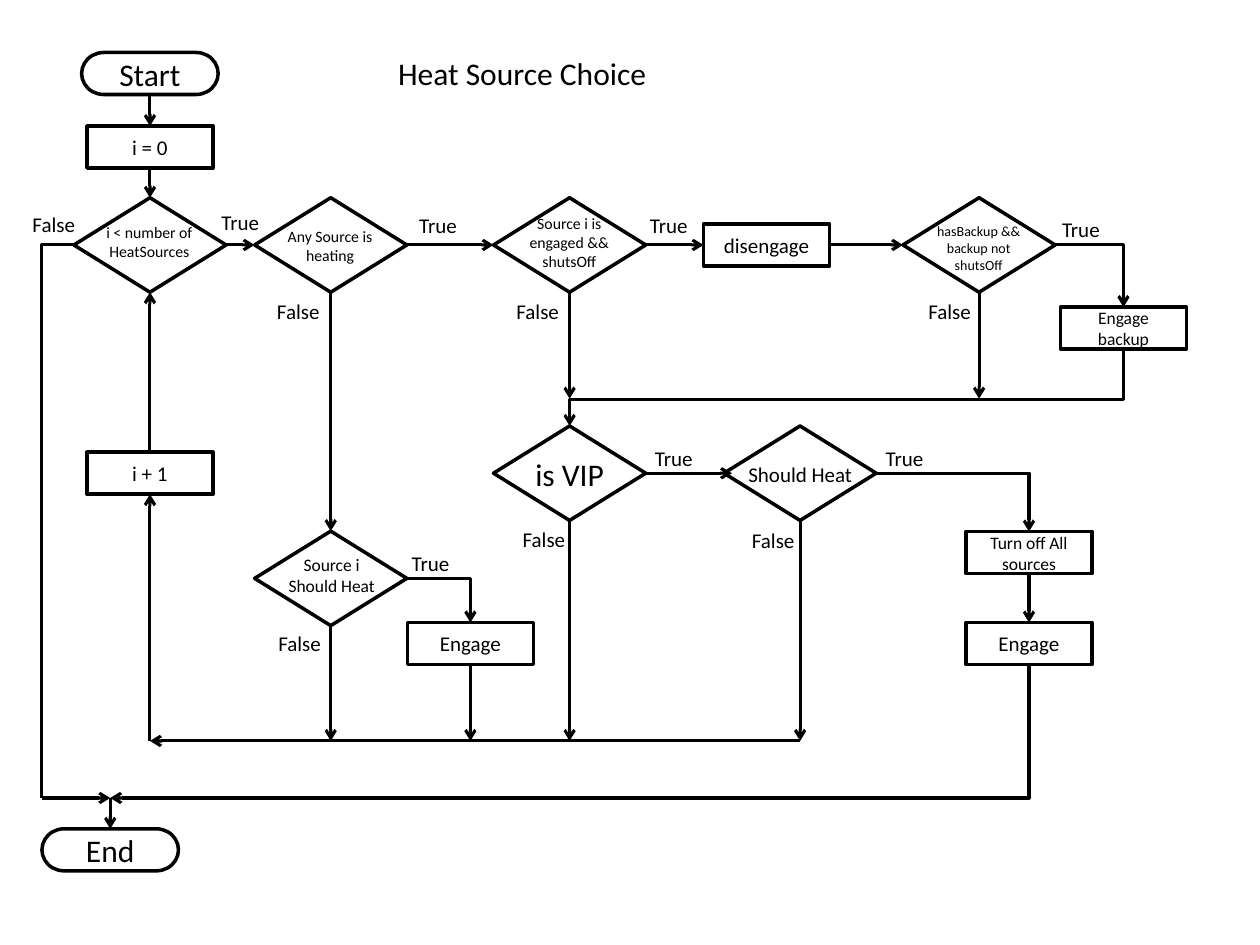
"""Build the heat source choice flowchart slide."""
from lxml import etree
from pptx import Presentation, util as u
from pptx.dml.color import RGBColor
from pptx.enum import shapes, text
from pptx.oxml.ns import qn

Pt = u.Pt
COLORS = {"ink": "000000"}
FONT = "Calibri"
TITLE = "Heat Source Choice"
LEFT, CENTER = text.PP_ALIGN.LEFT, text.PP_ALIGN.CENTER
TOP, MIDDLE = text.MSO_ANCHOR.TOP, text.MSO_ANCHOR.MIDDLE

KINDS = {
    "terminator": (shapes.MSO_SHAPE.FLOWCHART_TERMINATOR, 78, 24),
    "decision": (shapes.MSO_SHAPE.FLOWCHART_DECISION, 87, 54),
    "process": (shapes.MSO_SHAPE.FLOWCHART_PROCESS, 72, 24),
}
COLUMN = {"exit": 24, "end": 63, "loop": 85.7, "any": 189, "engage": 268.8,
          "vip": 325.5, "off": 438, "heat": 457.2, "backup": 559.5,
          "stop": 588, "fallback": 642}
ROW = {"start": 42, "init": 84, "check": 140, "fallback": 187.5, "merge": 227.8,
       "vip": 270.4, "stop": 315.8, "source": 330.5, "engage": 367.7,
       "next": 423.4, "exit": 456, "end": 485.6}

NODES = {
    "start": ("terminator", "loop", "start", "Start", 18),
    "end": ("terminator", "end", "end", "End", 18),
    "init": ("process", "loop", "init", "i = 0", 12),
    "increment": ("process", "loop", "vip", "i + 1", 12),
    "disengage": ("process", "off", "check", "disengage", 12),
    "fallback": ("process", "fallback", "fallback", "Engage backup", 10),
    "stop": ("process", "stop", "stop", "Turn off All sources", 10),
    "engage all": ("process", "stop", "engage", "Engage", 12),
    "engage": ("process", "engage", "engage", "Engage", 12),
    "loop": ("decision", "loop", "check", "", 9),
    "any": ("decision", "any", "check", "", 9),
    "engaged": ("decision", "vip", "check", "", 9),
    "backup": ("decision", "backup", "check", "", 8),
    "vip": ("decision", "vip", "vip", "", 18),
    "source": ("decision", "any", "source", "", 10),
    "heat": ("decision", "heat", "vip", "", 12),
}
QUESTIONS = [
    ("i < number of HeatSources", 9, (41.8, 123.8, 87, 29)),
    ("Any Source is heating", 9, (154.1, 126, 69, 29)),
    ("Source i is engaged && shutsOff", 9, (292.3, 118.8, 66, 40)),
    ("hasBackup && backup not shutsOff", 8, (526.3, 123.8, 66, 36)),
    ("Should Heat", 12, (418.3, 259.9, 78, 21.8)),
    ("Source i Should Heat", 10, (155.5, 313.2, 68, 31.5)),
]
BRANCHES = {
    "True": [(119.5, 116), (232.5, 118), (364.3, 118), (599.8, 120),
             (367.2, 251.3), (499, 251.3), (228.2, 311)],
    "False": [(11.5, 117.4), (151.2, 167), (288, 167), (523.4, 167),
              (291.6, 297.4), (422.6, 298), (152, 357)],
}
SIDES = {"top": (0, 0, -0.5), "left": (1, -0.5, 0),
         "bottom": (2, 0, 0.5), "right": (3, 0.5, 0)}
STRAIGHT = [
    ("start bottom", "init top"), ("init bottom", "loop top"),
    ("loop right", "any left"), ("any right", "engaged left"),
    ("engaged right", "disengage left"), ("disengage right", "backup left"),
    ("any bottom", "source top"), ("engaged bottom", ("vip", "merge")),
    ("backup bottom", ("backup", "merge")), ("vip right", (418.3, "vip")),
    ("stop bottom", "engage all top"), (("end", "exit"), "end top"),
    (("exit", "exit"), ("end", "exit")), (("loop", "next"), "increment bottom"),
    ("increment top", "loop bottom"), ("source bottom", ("any", "next")),
    ("vip bottom", ("vip", "next")), ("engage bottom", ("engage", "next")),
    ("heat bottom", ("heat", "next")), (("heat", "next"), ("loop", "next")),
]
BENT = [
    ("backup right", "fallback top", {}),
    ("heat right", "stop top", {}),
    ("source right", "engage top", {}),
    ("loop left", ("exit", "exit"), {"arrow": False}),
    ("engage all bottom", ("end", "exit"), {"down_first": True}),
    ("fallback bottom", "vip top", {"down_first": True, "bend": 65500}),
]


def color(name):
    return RGBColor.from_string(COLORS[name])


def write(shape, content, size=12, align=LEFT, anchor=TOP, wrap=True, fit=text.MSO_AUTO_SIZE.NONE):
    frame = shape.text_frame
    frame.word_wrap, frame.auto_size, frame.vertical_anchor = wrap, fit, anchor
    paragraph = frame.paragraphs[0]
    paragraph.alignment = align
    run = paragraph.add_run()
    run.text = content
    run.font.size, run.font.name = Pt(size), FONT
    run.font.color.rgb = color("ink")


def add_text(content, box, **format):
    shape = slide.shapes.add_textbox(*map(Pt, box))
    write(shape, content, fit=text.MSO_AUTO_SIZE.SHAPE_TO_FIT_TEXT, **format)


def add_node(kind, column, row, content, size):
    preset, width, height = KINDS[kind]
    shape = slide.shapes.add_shape(preset, Pt(COLUMN[column] - width / 2),
                                   Pt(ROW[row] - height / 2), Pt(width), Pt(height))
    shape.shadow.inherit = False
    shape.fill.background()
    shape.line.color.rgb = color("ink")
    shape.line.width = Pt(2)
    if content:
        write(shape, content, size, CENTER, MIDDLE)
    return shape


def locate(end):
    if isinstance(end, tuple):
        return COLUMN.get(end[0], end[0]), ROW[end[1]], None
    name, side = end.rsplit(" ", 1)
    kind, column, row = NODES[name][:3]
    site, across, down = SIDES[side]
    width, height = KINDS[kind][1:]
    return COLUMN[column] + across * width, ROW[row] + down * height, (nodes[name], site)


def connect(start, finish, preset=None, down_first=False, bend=None, arrow=True):
    x1, y1, source = locate(start)
    x2, y2, target = locate(finish)
    if down_first:
        x, y = (x1 + x2) / 2, (y1 + y2) / 2
        half_width, half_height = abs(y2 - y1) / 2, abs(x2 - x1) / 2
        x1, y1, x2, y2 = x - half_width, y - half_height, x + half_width, y + half_height
    kind = shapes.MSO_CONNECTOR.ELBOW if preset else shapes.MSO_CONNECTOR.STRAIGHT
    connector = slide.shapes.add_connector(kind, Pt(x1), Pt(y1), Pt(x2), Pt(y2))
    properties = connector._element.spPr
    if down_first:
        properties.find(qn("a:xfrm")).set("rot", "5400000")
    else:
        if source:
            connector.begin_connect(*source)
        if target:
            connector.end_connect(*target)
    if preset:
        geometry = properties.find(qn("a:prstGeom"))
        geometry.set("prst", "bentConnector3" if bend else preset)
        if bend:
            guides = geometry.find(qn("a:avLst"))
            etree.SubElement(guides, qn("a:gd"), name="adj1", fmla=f"val {bend}")
    connector.line.color.rgb = color("ink")
    connector.line.width = Pt(1.75)
    if arrow:
        etree.SubElement(properties.find(qn("a:ln")), qn("a:tailEnd"), type="arrow")
    etree.SubElement(properties, qn("a:effectLst"))


presentation = Presentation()
presentation.slide_width, presentation.slide_height = Pt(720), Pt(540)
slide = presentation.slides.add_slide(presentation.slide_layouts[5])
title = slide.shapes.title
title.left, title.top, title.width, title.height = map(Pt, (220.3, 27.4, 288, 29))
write(title, TITLE, 18)

nodes = {name: add_node(*node) for name, node in NODES.items()}
for question, size, box in QUESTIONS:
    add_text(question, box, size=size, align=CENTER)
add_text("is VIP", (298.8, 256.3, 54, 29), size=18, wrap=False)
for start, finish in STRAIGHT:
    connect(start, finish)
for start, finish, options in BENT:
    connect(start, finish, "bentConnector2", **options)
for label, places in BRANCHES.items():
    for left, top in places:
        add_text(label, (left, top, 42, 21.8), wrap=False)

presentation.save("out.pptx")
